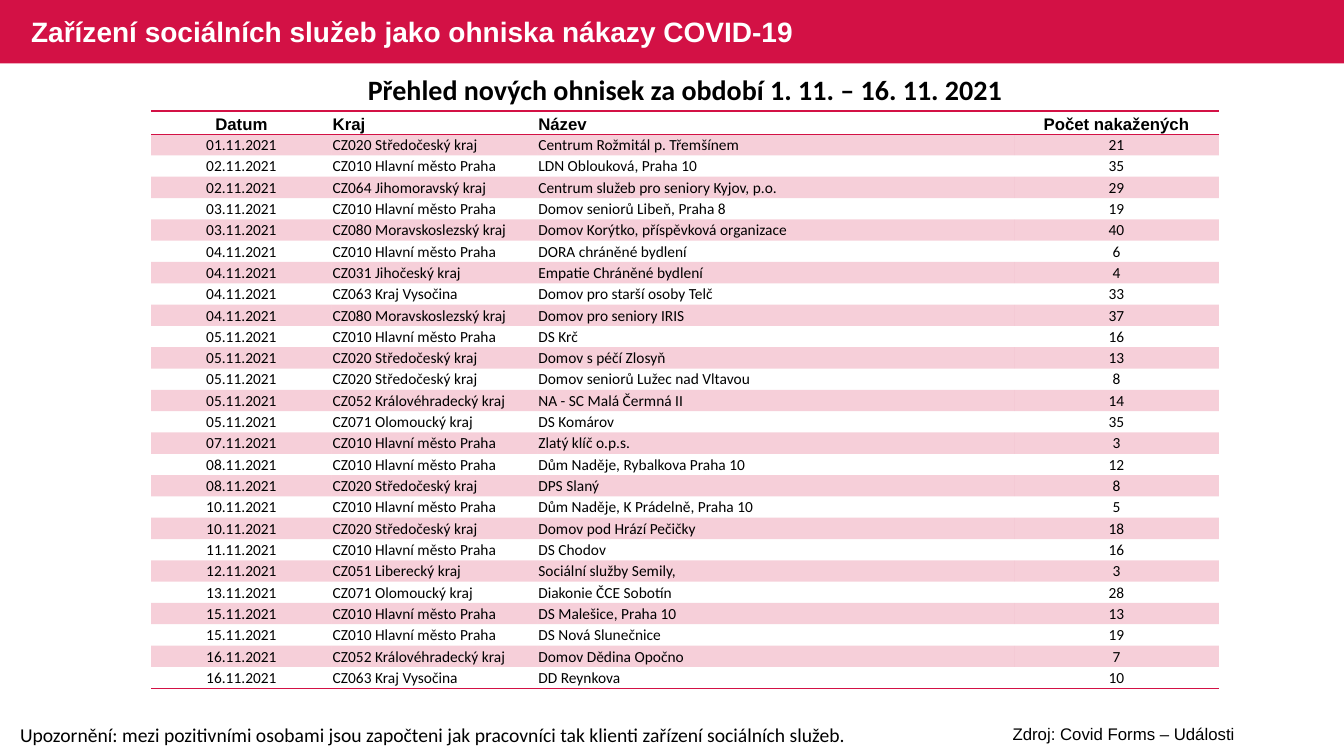
from dataclasses import dataclass

from lxml import etree
from pptx import Presentation
from pptx import util as u
from pptx.dml.color import RGBColor
from pptx.enum import shapes, text
from pptx.oxml.ns import qn

RED = RGBColor(0xD3, 0x11, 0x45)
WHITE = RGBColor(0xFF, 0xFF, 0xFF)
BLACK = RGBColor(0x00, 0x00, 0x00)

WIDE = u.Inches(13.33)
HIGH = u.Inches(7.5)
LEFT = text.PP_ALIGN.LEFT
MID = text.PP_ALIGN.CENTER
PLAIN = "{2D5ABB26-0587-4C30-8999-92F81FD0307C}"
TINT = 20


@dataclass(frozen=True)
class Box:
    left: float
    top: float
    width: float
    height: float

    def place(self) -> tuple[int, int, int, int]:
        return across(self.left), down(self.top), across(self.width), down(self.height)


@dataclass(frozen=True)
class Label:
    box: Box
    words: str
    style: dict


@dataclass(frozen=True)
class Column:
    head: str
    width: float
    align: text.PP_ALIGN


@dataclass(frozen=True)
class Case:
    day: int
    code: str
    name: str
    count: int

    def cells(self) -> list[str]:
        return [f"{self.day:02}.11.2021", f"{self.code} {REGIONS[self.code]}",
                self.name, str(self.count)]


BAND = Box(0, 0, 100, 8.4)
GRID = Box(11.25, 14.67, 79.44, 76.39)
HEAD_ROW = 3.07
CASE_ROW = 2.82

LABELS = [
    Label(Box(0.75, 94.93, 63.9, 4.53),
          "Upozornění: mezi pozitivními osobami jsou započteni jak pracovníci "
          "tak klienti zařízení sociálních služeb.",
          dict(size=14)),
    Label(Box(3.98, 8.93, 94, 5.87),
          "Přehled nových ohnisek za období 1. 11. – 16. 11. 2021",
          dict(size=20, bold=True, align=MID)),
    Label(Box(1.58, 0.27, 61, 8.4),
          "Zařízení sociálních služeb jako ohniska nákazy COVID-19",
          dict(size=20, font="Arial", color=WHITE, bold=True, pitch=0.9,
               anchor=text.MSO_ANCHOR.MIDDLE)),
    Label(Box(67.97, 95.07, 31.28, 4),
          "Zdroj: Covid Forms – Události",
          dict(size=12, font="Arial", align=MID)),
]

COLUMNS = [
    Column("Datum", 13.43, MID),
    Column("Kraj", 15.3, LEFT),
    Column("Název", 35.48, LEFT),
    Column("Počet nakažených", 15.23, MID),
]

REGIONS = {
    "CZ010": "Hlavní město Praha",
    "CZ020": "Středočeský kraj",
    "CZ031": "Jihočeský kraj",
    "CZ051": "Liberecký kraj",
    "CZ052": "Královéhradecký kraj",
    "CZ063": "Kraj Vysočina",
    "CZ064": "Jihomoravský kraj",
    "CZ071": "Olomoucký kraj",
    "CZ080": "Moravskoslezský kraj",
}

CASES = [
    Case(1, "CZ020", "Centrum Rožmitál p. Třemšínem", 21),
    Case(2, "CZ010", "LDN Oblouková, Praha 10", 35),
    Case(2, "CZ064", "Centrum služeb pro seniory Kyjov, p.o.", 29),
    Case(3, "CZ010", "Domov seniorů Libeň, Praha 8", 19),
    Case(3, "CZ080", "Domov Korýtko, příspěvková organizace", 40),
    Case(4, "CZ010", "DORA chráněné bydlení", 6),
    Case(4, "CZ031", "Empatie Chráněné bydlení", 4),
    Case(4, "CZ063", "Domov pro starší osoby Telč", 33),
    Case(4, "CZ080", "Domov pro seniory IRIS", 37),
    Case(5, "CZ010", "DS Krč", 16),
    Case(5, "CZ020", "Domov s péčí Zlosyň", 13),
    Case(5, "CZ020", "Domov seniorů Lužec nad Vltavou", 8),
    Case(5, "CZ052", "NA - SC Malá Čermná II", 14),
    Case(5, "CZ071", "DS Komárov", 35),
    Case(7, "CZ010", "Zlatý klíč o.p.s.", 3),
    Case(8, "CZ010", "Dům Naděje, Rybalkova Praha 10", 12),
    Case(8, "CZ020", "DPS Slaný", 8),
    Case(10, "CZ010", "Dům Naděje, K Prádelně, Praha 10", 5),
    Case(10, "CZ020", "Domov pod Hrází Pečičky", 18),
    Case(11, "CZ010", "DS Chodov", 16),
    Case(12, "CZ051", "Sociální služby Semily,", 3),
    Case(13, "CZ071", "Diakonie ČCE Sobotín", 28),
    Case(15, "CZ010", "DS Malešice, Praha 10", 13),
    Case(15, "CZ010", "DS Nová Slunečnice", 19),
    Case(16, "CZ052", "Domov Dědina Opočno", 7),
    Case(16, "CZ063", "DD Reynkova", 10),
]


def across(share: float) -> int:
    return round(WIDE * share / 100)


def down(share: float) -> int:
    return round(HIGH * share / 100)


def write(frame, words: str, *, size: float, font: str = "Calibri",
          color: RGBColor = BLACK, bold: bool = False,
          align: text.PP_ALIGN = LEFT, pitch: float = 1.0,
          anchor: text.MSO_ANCHOR = text.MSO_ANCHOR.TOP) -> None:
    frame.word_wrap = True
    frame.vertical_anchor = anchor
    line = frame.paragraphs[0]
    line.alignment = align
    line.line_spacing = pitch
    run = line.add_run()
    run.text = words
    run.font.size = u.Pt(size)
    run.font.name = font
    run.font.bold = bold
    run.font.color.rgb = color


def shade(cell, tinted: bool) -> None:
    if not tinted:
        cell.fill.background()
        return
    cell.fill.solid()
    cell.fill.fore_color.rgb = RED
    tone = cell._tc.tcPr.find(qn("a:solidFill"))[0]
    etree.SubElement(tone, qn("a:alpha"), val=str(TINT * 1000))


def rule(cell, sides: str) -> None:
    for spot, side in enumerate(sides):
        edge = etree.Element(qn(f"a:ln{side}"), w=str(u.Pt(1)))
        fill = etree.SubElement(edge, qn("a:solidFill"))
        etree.SubElement(fill, qn("a:srgbClr"), val=str(RED))
        cell._tc.tcPr.insert(spot, edge)


def draw_band(slide) -> None:
    band = slide.shapes.add_shape(shapes.MSO_SHAPE.RECTANGLE, *BAND.place())
    band.shadow.inherit = False
    band.fill.solid()
    band.fill.fore_color.rgb = RED
    band.line.fill.background()


def draw_grid(slide) -> None:
    last = len(CASES)
    grid = slide.shapes.add_table(last + 1, len(COLUMNS), *GRID.place()).table
    grid.first_row = grid.horz_banding = False
    grid._tbl.tblPr.find(qn("a:tableStyleId")).text = PLAIN
    for track, column in zip(grid.columns, COLUMNS):
        track.width = across(column.width)
    lines = [[column.head for column in COLUMNS]] + [case.cells() for case in CASES]
    head = dict(size=12, font="Arial", bold=True, anchor=text.MSO_ANCHOR.BOTTOM)
    body = dict(size=11, anchor=text.MSO_ANCHOR.MIDDLE)
    for row, line in enumerate(lines):
        grid.rows[row].height = down(CASE_ROW if row else HEAD_ROW)
        for col, (words, column) in enumerate(zip(line, COLUMNS)):
            cell = grid.cell(row, col)
            style = body if row else head
            write(cell.text_frame, words, align=column.align, **style)
            cell.vertical_anchor = style["anchor"]
            cell.margin_left = cell.margin_right = u.Inches(0.01)
            cell.margin_top = u.Inches(0.01 if row else 0)
            cell.margin_bottom = 0
            shade(cell, row % 2 == 1)
            rule(cell, {0: "TB", last: "B"}.get(row, ""))


def main() -> None:
    deck = Presentation()
    deck.slide_width, deck.slide_height = WIDE, HIGH
    slide = deck.slides.add_slide(deck.slide_layouts[6])
    draw_band(slide)
    for label in LABELS:
        box = slide.shapes.add_textbox(*label.box.place())
        write(box.text_frame, label.words, **label.style)
    draw_grid(slide)
    deck.save("out.pptx")


if __name__ == "__main__":
    main()
